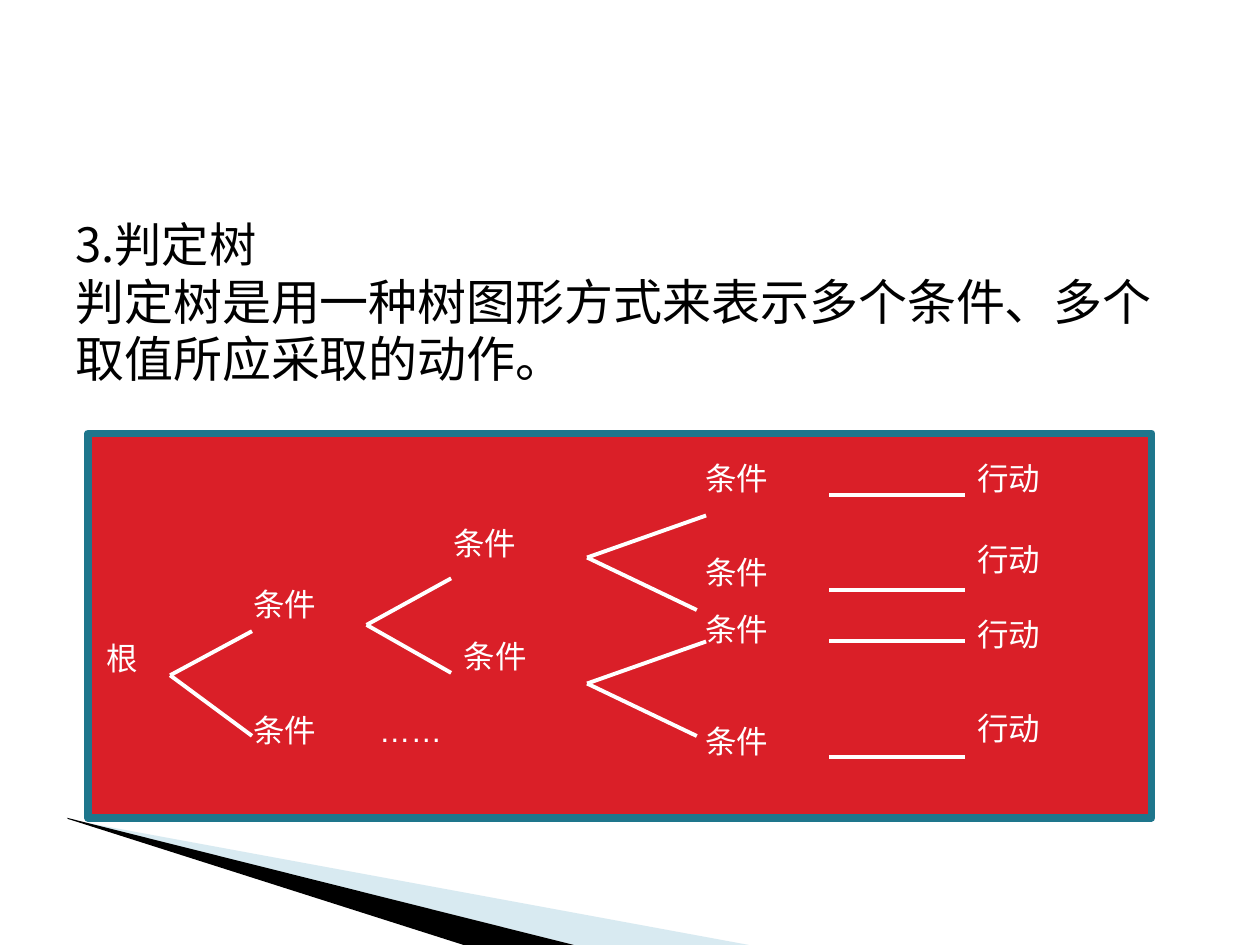
"""Build a slide that explains the decision tree with a diagram."""
from lxml import etree
from pptx import Presentation
from pptx.dml.color import RGBColor
from pptx.enum import shapes, text
from pptx.oxml import ns
from pptx.util import Pt


def rgb(value):
    return RGBColor.from_string(value)


class Deck:
    WHITE, BLACK, RED, TEAL, PALE = "FFFFFF", "000000", "DA1F28", "1E768C", "9FCBDC"
    BODY_FONT, LABEL_FONT = "Noto Sans CJK SC", "Arial"

    def __init__(self, prs):
        self.s = prs.slides.add_slide(prs.slide_layouts[6])

    def wedge(self, points, color, opacity=100):
        pts = [(Pt(x), Pt(y)) for x, y in points]
        fb = self.s.shapes.build_freeform(*pts[0])
        fb.add_line_segments(pts[1:], close=True)
        sp = fb.convert_to_shape()
        sp.shadow.inherit = False
        sp.fill.solid()
        sp.fill.fore_color.rgb = rgb(color)
        sp.line.fill.background()
        if opacity < 100:
            clr = sp._element.spPr.find(".//" + ns.qn("a:srgbClr"))
            etree.SubElement(clr, ns.qn("a:alpha"), val=str(opacity * 1000))

    def panel(self, x, y, w, h):
        sp = self.s.shapes.add_shape(
            shapes.MSO_SHAPE.RECTANGLE, Pt(x), Pt(y), Pt(w), Pt(h))
        sp.shadow.inherit = False
        sp.fill.solid()
        sp.fill.fore_color.rgb = rgb(self.RED)
        sp.line.color.rgb = rgb(self.TEAL)
        sp.line.width = Pt(4.34)

    def text_box(self, x, y, w, h, lines, font, color, spacing=None):
        tf = self.s.shapes.add_textbox(Pt(x), Pt(y), Pt(w), Pt(h)).text_frame
        tf.word_wrap = True
        tf.vertical_anchor = text.MSO_ANCHOR.TOP
        for i, (words, size) in enumerate(lines):
            p = tf.paragraphs[0] if i == 0 else tf.add_paragraph()
            r = p.add_run()
            r.text = words
            if spacing:
                p.line_spacing = Pt(spacing)
            p.font.size = Pt(size)
            p.font.name = font
            p.font.color.rgb = rgb(color)
            etree.SubElement(r.font._element, ns.qn("a:ea"), typeface=font)

    def body(self, x, y, w, h, lines):
        self.text_box(x, y, w, h, lines, self.BODY_FONT, self.BLACK, 33)

    def label(self, words, x, y, w=80.6):
        self.text_box(x, y, w, 28.8, [(words, 18)], self.LABEL_FONT, self.WHITE)

    def line(self, start, end):
        c = self.s.shapes.add_connector(
            shapes.MSO_CONNECTOR.STRAIGHT, *map(Pt, start + end))
        c.line.color.rgb = rgb(self.WHITE)
        c.line.width = Pt(2.25)
        etree.SubElement(c._element.spPr, ns.qn("a:effectLst"))

    def fork(self, apex, *ends):
        for end in ends:
            self.line(apex, end)


def main():
    prs = Presentation()
    prs.slide_width, prs.slide_height = Pt(720), Pt(540)
    deck = Deck(prs)

    deck.wedge([(39.6, 468.4), (428, 540), (328, 540), (39.6, 468)], deck.PALE, 40)
    deck.wedge([(38.2, 467.3), (328, 540), (265, 540), (38.9, 468)], deck.BLACK)
    deck.panel(50.4, 247.7, 607.7, 219.6)
    deck.body(36, 119, 648, 354, [
        ("3.判定树", 27),
        ("判定树是用一种树图形方式来表示多个条件、多个取值所应采取的动作。", 28),
    ])

    deck.label("根", 54, 361.4, 49.7)
    for x, y in [(137.5, 330.5), (137.5, 402.5), (252, 296), (257.8, 360.7)]:
        deck.label("条件", x, y)
    deck.label("……", 209.5, 402.5)

    deck.fork((97.2, 385.9), (144, 360.7), (144, 420.5))
    deck.fork((209.5, 357.1), (257.8, 330.5), (257.8, 384.5))
    for y in (318.6, 390.6):
        deck.fork((335.5, y), (403.5, y - 24), (398.2, y + 30))

    branches = [(258.5, 283, 258.5, 86.4), (312.5, 337, 305.3, 105),
                (344.9, 366.5, 347.8, 124), (409, 432.7, 401.8, 105)]
    for condition_y, line_y, action_y, action_w in branches:
        deck.label("条件", 396, condition_y)
        deck.line((473.8, line_y), (551.5, line_y))
        deck.label("行动", 551.5, action_y, action_w)

    prs.save("out.pptx")


if __name__ == "__main__":
    main()
